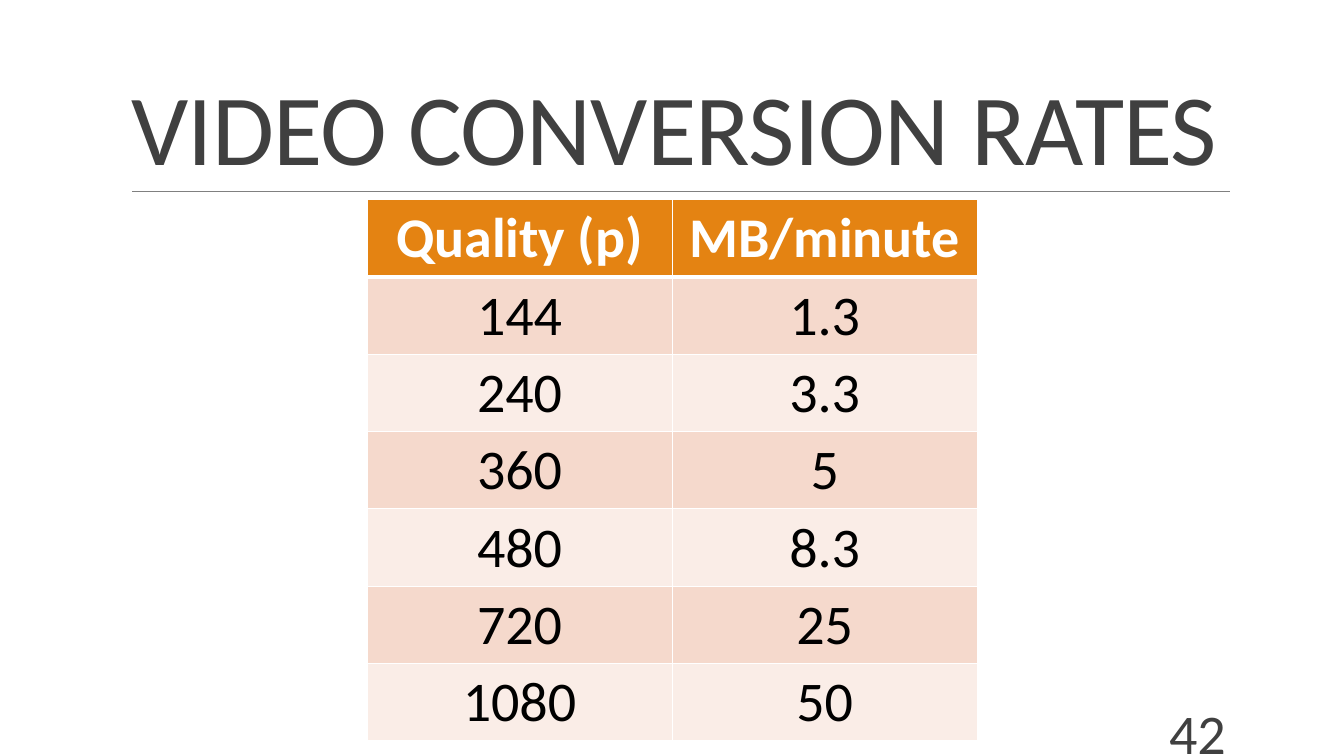
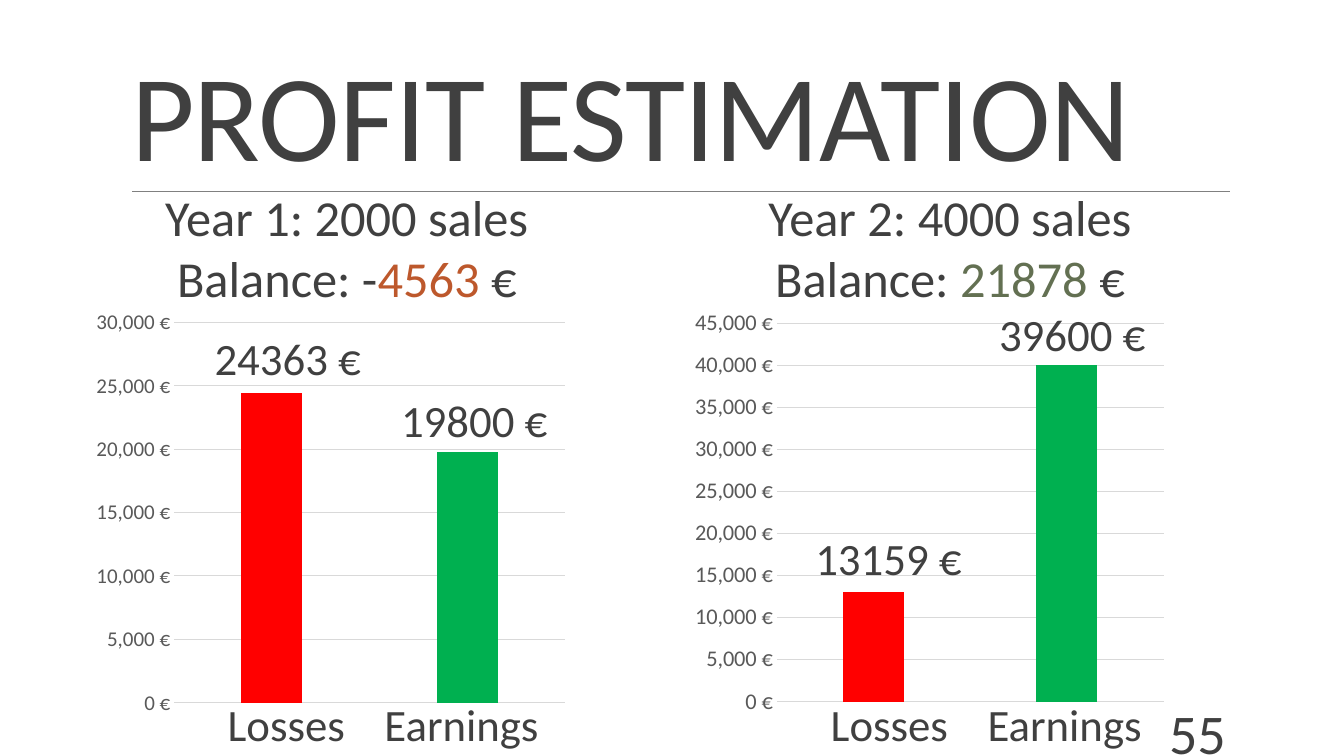
from lxml import etree
from pptx import Presentation
from pptx.chart.data import CategoryChartData
from pptx.dml.color import RGBColor
from pptx.enum.chart import XL_CHART_TYPE, XL_TICK_MARK
from pptx.enum.shapes import MSO_CONNECTOR
from pptx.enum.text import MSO_ANCHOR, MSO_AUTO_SIZE, PP_ALIGN
from pptx.oxml.ns import qn
from pptx.util import Pt

FONT = "Calibri"
INK = RGBColor(0x40, 0x40, 0x40)
RULE = RGBColor(0x80, 0x80, 0x80)
WHITE = RGBColor(0xFF, 0xFF, 0xFF)
BLACK = RGBColor(0, 0, 0)
ORANGE = RGBColor(0xE4, 0x83, 0x12)
BANDS = [RGBColor(0xF5, 0xD9, 0xCC), RGBColor(0xFA, 0xED, 0xE7)]
RED = RGBColor(0xFF, 0, 0)
GREEN = RGBColor(0, 0xB0, 0x50)
RUST = RGBColor(0xBD, 0x58, 0x2C)
OLIVE = RGBColor(0x63, 0x70, 0x52)
AXIS_TEXT = RGBColor(0x59, 0x59, 0x59)
GRID = RGBColor(0xD9, 0xD9, 0xD9)

RATES = [
    ("Quality (p)", "MB/minute"),
    ("144", "1.3"),
    ("240", "3.3"),
    ("360", "5"),
    ("480", "8.3"),
    ("720", "25"),
    ("1080", "50"),
]

NAMES = ["Losses", "Earnings"]
NAME_OFFSETS = [89.5, 201.5]
YEARS = [
    {
        "caption": ["Year 1: 2000 sales",
                    [("Balance: -", INK), ("4563", RUST), (" €", INK)]],
        "left": 66, "chart_left": 61.92, "axis_size": 15,
        "bars": [24400, 19800], "top_value": 30000,
        "amounts": [("24363 €", 146.16, 232.56), ("19800 €", 279.36, 277)],
    },
    {
        "caption": ["Year 2: 4000 sales",
                    [("Balance: ", INK), ("21878", OLIVE), (" €", INK)]],
        "left": 496.8, "chart_left": 489.6, "axis_size": 16,
        "bars": [13000, 40000], "top_value": 45000,
        "amounts": [("13159 €", 575.28, 375.5), ("39600 €", 706.5, 215.28)],
    },
]


def write(frame, paragraphs, size, color=INK, bold=False,
          align=PP_ALIGN.LEFT, anchor=MSO_ANCHOR.TOP):
    frame.word_wrap = True
    frame.vertical_anchor = anchor
    for index, content in enumerate(paragraphs):
        paragraph = frame.paragraphs[0] if index == 0 else frame.add_paragraph()
        paragraph.alignment = align
        runs = [(content, color)] if isinstance(content, str) else content
        for text, run_color in runs:
            run = paragraph.add_run()
            run.text = text
            run.font.name = FONT
            run.font.size = Pt(size)
            run.font.bold = bold
            run.font.color.rgb = run_color


def add_text(slide, place, paragraphs, size, **style):
    box = slide.shapes.add_textbox(*map(Pt, place))
    write(box.text_frame, paragraphs, size, **style)


def add_titled_slide(deck, heading, size, number):
    slide = deck.slides.add_slide(deck.slide_layouts[5])
    rule = slide.shapes.add_connector(
        MSO_CONNECTOR.STRAIGHT, Pt(94.32), Pt(136.8), Pt(878.6), Pt(136.8))
    rule.line.color.rgb = RULE
    rule.line.width = Pt(0.5)
    etree.SubElement(rule._element.spPr, qn("a:effectLst"))

    title = slide.shapes.title
    title.left, title.top, title.width, title.height = map(
        Pt, (86.4, 22.32, 792, 114.48))
    write(title.text_frame, [heading], size, anchor=MSO_ANCHOR.BOTTOM)
    title.text_frame.auto_size = MSO_AUTO_SIZE.NONE
    line = title.text_frame.paragraphs[0]
    line.line_spacing = 0.85
    line.runs[0].font._element.set("spc", "-50")

    add_text(slide, (779.76, 508.32, 102.96, 28.8), [number], 40,
             align=PP_ALIGN.RIGHT, anchor=MSO_ANCHOR.MIDDLE)
    return slide


def set_borders(cell, bottom):
    properties = cell._tc.get_or_add_tcPr()
    widths = {"a:lnL": 1, "a:lnR": 1, "a:lnT": 1, "a:lnB": bottom}
    for index, (side, width) in enumerate(widths.items()):
        border = etree.Element(qn(side), w=str(int(Pt(width))))
        fill = etree.SubElement(border, qn("a:solidFill"))
        etree.SubElement(fill, qn("a:srgbClr"), val=str(WHITE))
        properties.insert(index, border)


def add_rates(slide):
    row_height, column_width = 55, 218
    rates = slide.shapes.add_table(
        len(RATES), 2, Pt(262.08), Pt(142.56),
        Pt(2 * column_width), Pt(len(RATES) * row_height)).table
    for column in rates.columns:
        column.width = Pt(column_width)
    for r, values in enumerate(RATES):
        rates.rows[r].height = Pt(row_height)
        header = r == 0
        for c, value in enumerate(values):
            cell = rates.cell(r, c)
            cell.fill.solid()
            cell.fill.fore_color.rgb = ORANGE if header else BANDS[(r - 1) % 2]
            set_borders(cell, 3 if header else 1)
            write(cell.text_frame, [value], 40, bold=header,
                  color=WHITE if header else BLACK, align=PP_ALIGN.CENTER)


def add_profit_chart(slide, year):
    data = CategoryChartData()
    data.categories = NAMES
    data.add_series("Amount", year["bars"])
    chart = slide.shapes.add_chart(
        XL_CHART_TYPE.COLUMN_CLUSTERED, Pt(year["chart_left"]), Pt(215.28),
        Pt(348.48), Pt(301.68), data).chart
    chart.has_legend = False
    chart.has_title = False
    chart.font.name = FONT
    chart.font.size = Pt(year["axis_size"])
    chart.font.color.rgb = AXIS_TEXT
    chart.category_axis.visible = False

    axis = chart.value_axis
    axis.minimum_scale = 0
    axis.maximum_scale = year["top_value"]
    axis.major_unit = 5000
    axis.major_tick_mark = XL_TICK_MARK.NONE
    axis.minor_tick_mark = XL_TICK_MARK.NONE
    axis.tick_labels.number_format = '#,##0\\ "€"'
    axis.tick_labels.number_format_is_linked = False
    axis.format.line.fill.background()
    axis.major_gridlines.format.line.color.rgb = GRID
    axis.major_gridlines.format.line.width = Pt(0.75)

    plot = chart.plots[0]
    plot.gap_width = 219
    plot.overlap = -27
    plot.vary_by_categories = False
    for index, color in enumerate([RED, GREEN]):
        fill = plot.series[0].points[index].format.fill
        fill.solid()
        fill.fore_color.rgb = color


def add_year(slide, year):
    add_profit_chart(slide, year)
    add_text(slide, (year["left"], 129.6, 363.6, 94.32), year["caption"], 36,
             align=PP_ALIGN.CENTER)
    names = [(name, year["left"] + offset, 494.2)
             for name, offset in zip(NAMES, NAME_OFFSETS)]
    for label, left, top in names + year["amounts"]:
        add_text(slide, (left, top, 131, 46), [label], 32)


def main():
    deck = Presentation()
    deck.slide_width, deck.slide_height = Pt(960), Pt(540)
    add_rates(add_titled_slide(deck, "VIDEO CONVERSION RATES", 72, "42"))
    profit = add_titled_slide(deck, "PROFIT ESTIMATION", 88, "55")
    for year in YEARS:
        add_year(profit, year)
    deck.save("out.pptx")


if __name__ == "__main__":
    main()
